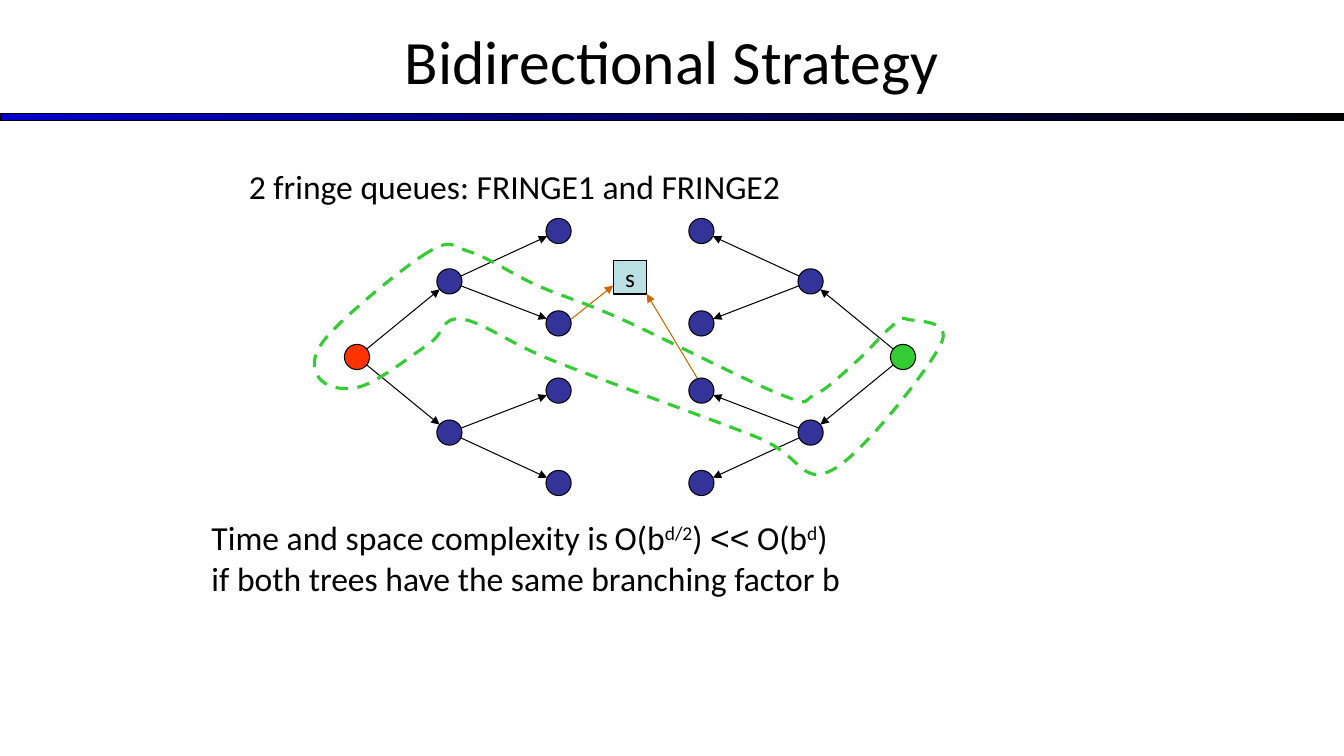
import math
import pptx
import pptx.util
import pptx.dml.color
import pptx.enum.dml
import pptx.enum.shapes
import pptx.enum.text
import pptx.oxml

RGB = pptx.dml.color.RGBColor
SHAPE = pptx.enum.shapes.MSO_SHAPE
ANCHOR = pptx.enum.text.MSO_ANCHOR
ALIGN = pptx.enum.text.PP_ALIGN
Pt = pptx.util.Pt

BLACK = RGB(0x00, 0x00, 0x00)
BAR_BLUE = RGB(0x00, 0x00, 0xCC)
NODE_BLUE = RGB(0x33, 0x33, 0x99)
START_RED = RGB(0xFF, 0x33, 0x00)
GOAL_GREEN = RGB(0x33, 0xCC, 0x33)
MEET_TEAL = RGB(0xBB, 0xE0, 0xE3)
ORANGE = RGB(0xCC, 0x66, 0x00)

# Content; all places are in grid cells, 12 to the inch
COLS, ROWS, CELL = 160, 90, 76200
FONT = "Calibri"
TITLE = "Bidirectional Strategy"
QUEUES = [[("2 fringe queues: FRINGE1 and FRINGE2", {})]]
COMPLEXITY = [
    [("Time and space complexity is", {}), (" ", {"size": 20}), ("O(b", {}),
     ("d/2", {"sup": True}), (") ", {}), ("<<", {"font": "Arial"}),
     (" O(b", {}), ("d", {"sup": True}), (") ", {})],
    [("if both trees have the same branching factor b", {})],
]

# Node centres of the left tree; the right tree is its mirror
NODE = 3
MIRROR = 150
ROOT = (42.5, 42.5)
BRANCHES = {(53.5, 33.5): [(66.5, 27.5), (66.5, 38.5)],
            (53.5, 51.5): [(66.5, 46.5), (66.5, 57.5)]}
MEETING = (73, 31, 4, 4)
MEETING_ARROWS = [((68, 38), (73, 34)), ((83, 45), (77, 35))]
PATH_KNOTS = [(51, 30), (39, 40), (38, 45), (43, 46), (51, 41), (55, 38),
              (66, 43), (90, 52), (99, 56), (112, 41), (108, 38), (106, 39),
              (102, 43), (97, 47), (93, 47), (74, 38), (64, 34), (56, 30)]


def cells(*values):
    return [pptx.util.Emu(round(v * CELL)) for v in values]


def outline(line, color, width=0.75):
    line.color.rgb = color
    line.width = Pt(width)


def add_filled(s, kind, box, color):
    sp = s.shapes.add_shape(kind, *cells(*box))
    sp.shadow.inherit = False
    sp.fill.solid()
    sp.fill.fore_color.rgb = color
    outline(sp.line, BLACK)
    return sp


def add_node(s, center, color):
    x, y = center
    add_filled(s, SHAPE.OVAL, (x - NODE / 2, y - NODE / 2, NODE, NODE), color)


def add_arrow(s, start, end, color=BLACK):
    c = s.shapes.add_connector(pptx.enum.shapes.MSO_CONNECTOR.STRAIGHT,
                               *cells(*start, *end))
    outline(c.line, color)
    ns = pptx.oxml.ns.qn
    tail = c.line._get_or_add_ln().makeelement(ns("a:tailEnd"), {"type": "triangle"})
    c.line._get_or_add_ln().append(tail)
    c._element.spPr.append(tail.makeelement(ns("a:effectLst"), {}))


def add_edge(s, parent, child):
    """Arrow from rim to rim of two nodes."""
    dx, dy = child[0] - parent[0], child[1] - parent[1]
    k = NODE / 2 / math.hypot(dx, dy)
    add_arrow(s, (parent[0] + k * dx, parent[1] + k * dy),
              (child[0] - k * dx, child[1] - k * dy))


def add_text(s, box, lines):
    tf = s.shapes.add_textbox(*cells(*box)).text_frame
    tf.word_wrap = True
    p = tf.paragraphs[0]
    p.font.size = Pt(24)
    for i, line in enumerate(lines):
        if i:
            p.add_line_break()
        for text, style in line:
            r = p.add_run()
            r.text = text
            r.font.size = Pt(style.get("size", 24))
            r.font.name = style.get("font", FONT)
            r.font.color.rgb = BLACK
            if style.get("sup"):
                r.font._element.set("baseline", "30000")


def add_closed_curve(s, knots, color):
    """Smooth closed curve whose tangents follow the neighbouring knots."""
    n = len(knots)
    points = []
    for i in range(n):
        before, a, b, after = (knots[(i + j) % n] for j in (-1, 0, 1, 2))
        points += [[a[k] + (b[k] - before[k]) / 6 for k in (0, 1)],
                   [b[k] - (after[k] - a[k]) / 6 for k in (0, 1)], b]
    scaled = [(100 * x, 100 * y) for x, y in points]
    builder = s.shapes.build_freeform(*scaled[-1], scale=CELL / 100)
    builder.add_line_segments(scaled, close=True)
    sp = builder.convert_to_shape()

    # Turn each three line points into one cubic segment
    ns = pptx.oxml.ns.qn
    segments = list(sp._element.iter(ns("a:lnTo")))
    for i in range(0, 3 * n, 3):
        cubic = segments[i].makeelement(ns("a:cubicBezTo"), {})
        segments[i].addprevious(cubic)
        for segment in segments[i:i + 3]:
            cubic.append(segment[0])
            segment.getparent().remove(segment)
    sp.shadow.inherit = False
    sp.fill.background()
    outline(sp.line, color, 2.25)
    sp.line.dash_style = pptx.enum.dml.MSO_LINE.DASH


def main():
    prs = pptx.Presentation()
    prs.slide_width, prs.slide_height = cells(COLS, ROWS)
    s = prs.slides.add_slide(prs.slide_layouts[5])

    # Title and gradient rule
    title = s.shapes.title
    title.left, title.top, title.width, title.height = cells(0, -0.36, COLS, 15)
    tf = title.text_frame
    tf.text = TITLE
    tf.auto_size = pptx.enum.text.MSO_AUTO_SIZE.NONE
    tf.vertical_anchor = ANCHOR.MIDDLE
    p = tf.paragraphs[0]
    p.alignment = ALIGN.CENTER
    p.font.size, p.font.name = Pt(44), FONT
    p.font.color.rgb = BLACK
    bar = add_filled(s, SHAPE.RECTANGLE, (0, 13.5, COLS, 0.85), BLACK)
    bar.fill.gradient()
    bar.fill.gradient_angle = 0
    for stop, color in zip(bar.fill.gradient_stops, (BAR_BLUE, BLACK)):
        stop.color.rgb = color

    # Two mirrored search trees
    for mirrored, root_color in ((True, GOAL_GREEN), (False, START_RED)):
        def place(node):
            return (MIRROR - node[0], node[1]) if mirrored else node

        add_node(s, place(ROOT), root_color)
        for branch, leaves in BRANCHES.items():
            add_node(s, place(branch), NODE_BLUE)
            add_edge(s, place(ROOT), place(branch))
            for leaf in leaves:
                add_node(s, place(leaf), NODE_BLUE)
                add_edge(s, place(branch), place(leaf))

    # Meeting state
    tf = add_filled(s, SHAPE.RECTANGLE, MEETING, MEET_TEAL).text_frame
    tf.word_wrap = False
    tf.vertical_anchor = ANCHOR.MIDDLE
    p = tf.paragraphs[0]
    p.text = "s"
    p.alignment = ALIGN.CENTER
    p.font.size, p.font.name = Pt(18), FONT
    p.font.color.rgb = BLACK
    for start, end in MEETING_ARROWS:
        add_arrow(s, start, end, ORANGE)

    # Captions and solution path
    add_text(s, (28.44, 19.2, 81.4, 6), QUEUES)
    add_text(s, (24, 61, 96, 10.8), COMPLEXITY)
    add_closed_curve(s, PATH_KNOTS, GOAL_GREEN)

    prs.save("out.pptx")


if __name__ == "__main__":
    main()
